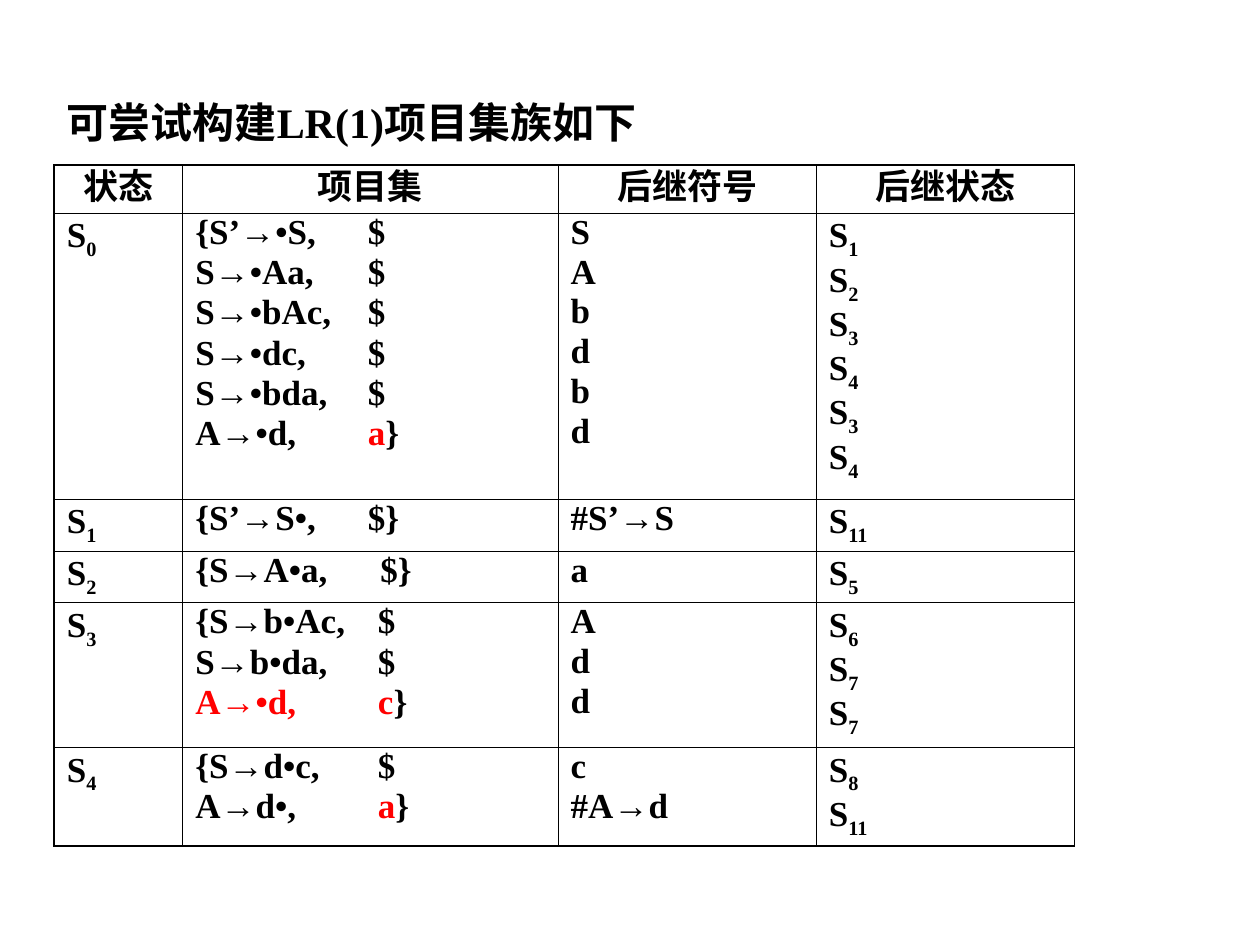
import itertools

import pptx
import pptx.dml.color
import pptx.enum.text
import pptx.oxml
import pptx.oxml.ns
import pptx.util

Inches, Pt = pptx.util.Inches, pptx.util.Pt
ALIGN = pptx.enum.text.PP_ALIGN
TOP = pptx.enum.text.MSO_ANCHOR.TOP
NS = pptx.oxml.ns.nsdecls("a")
ROMAN, HAN = "Times New Roman", "Noto Sans CJK SC"
LEFT, WIDE = 0.43, 8.11
COLS = [1.02, 2.98, 2.05, 2.05]
ROWS = [0.34, 2.27, 0.41, 0.41, 1.15, 0.78]
TABS = [0, 1.37, 1.37, 1.47, 1.45, 1.45]  # lookahead column of each row

# Digits are subscripts, and ~ switches red on and off.
GRID = [
    ["状态", "项目集", "后继符号", "后继状态"],
    ["S0", "{S’→•S,\t$\nS→•Aa,\t$\nS→•bAc,\t$\nS→•dc,\t$\nS→•bda,\t$\nA→•d,\t~a~}",
     "S\nA\nb\nd\nb\nd", "S1\nS2\nS3\nS4\nS3\nS4"],
    ["S1", "{S’→S•,\t$}", "#S’→S", "S11"],
    ["S2", "{S→A•a,\t$}", "a", "S5"],
    ["S3", "{S→b•Ac,\t$\nS→b•da,\t$\n~A→•d,\tc~}", "A\nd\nd", "S6\nS7\nS7"],
    ["S4", "{S→d•c,\t$\nA→d•,\t~a~}", "c\n#A→d", "S8\nS11"],
]


def paint(font, size, name, color="000000"):
    font.size, font.bold, font.name = Pt(size), True, name
    font.color.rgb = pptx.dml.color.RGBColor.from_string(color)


def kind(char):
    """Tell arrows and subscript digits from plain text."""
    return "arrow" if char == "→" else "sub" if char.isdigit() else "plain"


deck = pptx.Presentation()
deck.slide_width, deck.slide_height = Inches(10), Inches(7.5)
slide = deck.slides.add_slide(deck.slide_layouts[5])

title = slide.shapes.title
title.left, title.top = Inches(LEFT), Inches(0.68)
title.width, title.height = Inches(8.27), Inches(0.63)
title.text_frame.vertical_anchor = TOP
title.text_frame.word_wrap = True
title.text = "可尝试构建LR(1)项目集族如下"
head = title.text_frame.paragraphs[0]
head.alignment, head.line_spacing = ALIGN.LEFT, 1.1
paint(head.font, 24, ROMAN)

table = slide.shapes.add_table(
    len(ROWS), len(COLS), Inches(LEFT), Inches(1.31), Inches(WIDE), Inches(sum(ROWS))
).table
table.first_row = table.horz_banding = False
for col, width in zip(table.columns, COLS):
    col.width = Inches(width)
for row, height in zip(table.rows, ROWS):
    row.height = Inches(height)

for r, c in itertools.product(range(len(ROWS)), range(len(COLS))):
    cell = table.cell(r, c)
    frame = cell.text_frame
    for i, line in enumerate(GRID[r][c].split("\n")):
        para = frame.add_paragraph() if i else frame.paragraphs[0]
        if "\t" in line:
            para._p.get_or_add_pPr().append(pptx.oxml.parse_xml(
                f'<a:tabLst {NS}><a:tab pos="{Inches(TABS[r])}" algn="l"/></a:tabLst>'))
        para.alignment = ALIGN.LEFT if r else ALIGN.CENTER
        para.line_spacing = 0.8 if r else 0.7
        para.space_before = Pt(5 if i else 0)
        paint(para.font, 20, ROMAN if r else HAN)
        for n, piece in enumerate(line.split("~")):
            for sort, chars in itertools.groupby(piece, kind):
                run = para.add_run()
                run.text = "".join(chars)
                if sort == "arrow":
                    run.font.name = "Arial"
                if sort == "sub":
                    run.font._element.set("baseline", "-25000")
                if n % 2:
                    run.font.color.rgb = pptx.dml.color.RGBColor.from_string("FF0000")

    edges = {"L": c == 0, "R": c == len(COLS) - 1, "T": r == 0, "B": r == len(ROWS) - 1}
    for side, outer in edges.items():
        cell._tc.get_or_add_tcPr().append(pptx.oxml.parse_xml(
            f'<a:ln{side} {NS} w="{Pt(1.08 if outer else 0.45)}"><a:solidFill>'
            f'<a:srgbClr val="000000"/></a:solidFill></a:ln{side}>'))
    cell.fill.background()

deck.save("out.pptx")
